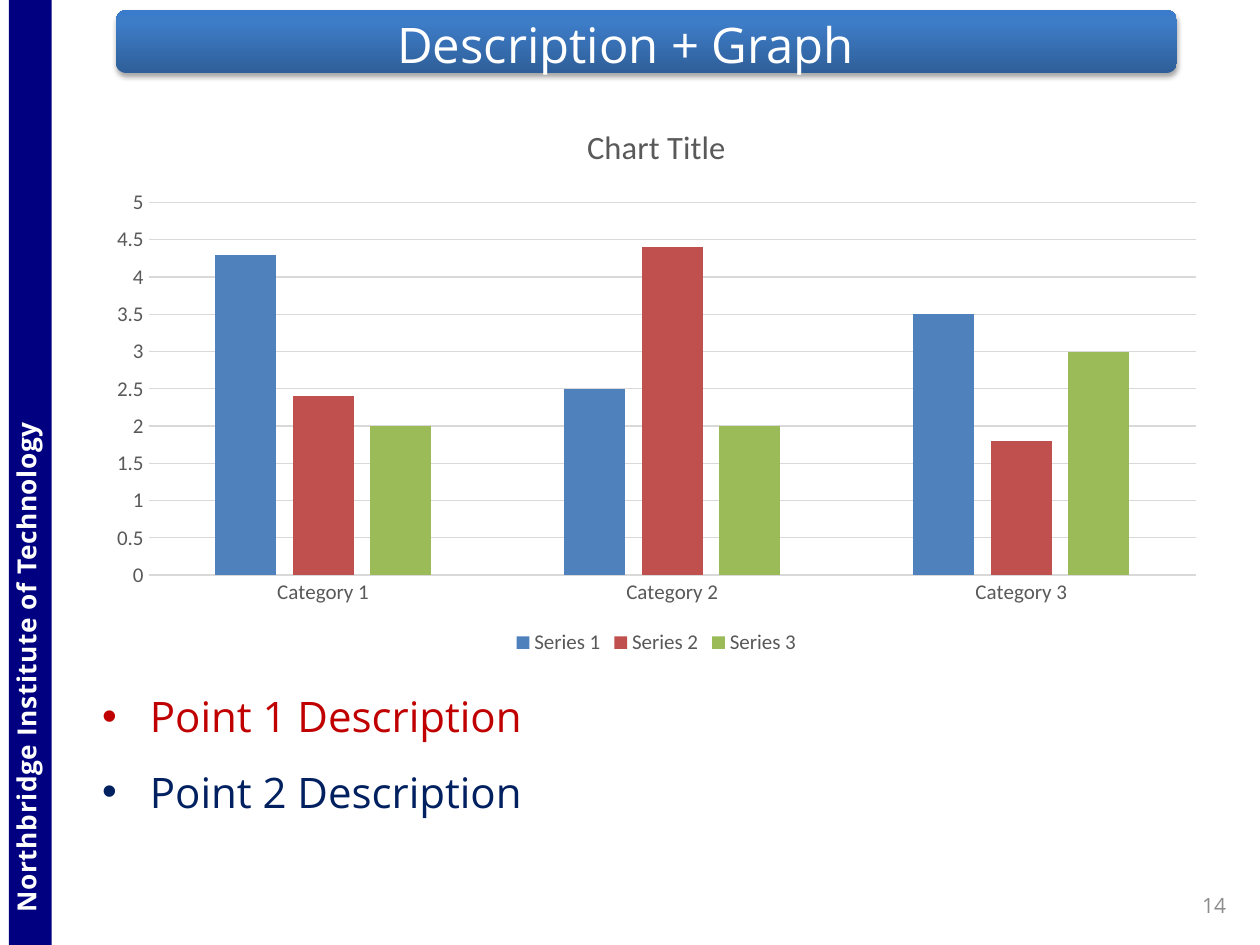
from dataclasses import dataclass

from lxml import etree
from pptx import Presentation
from pptx.chart.data import CategoryChartData
from pptx.dml.color import RGBColor
from pptx.enum.chart import XL_CHART_TYPE, XL_LEGEND_POSITION, XL_TICK_MARK
from pptx.enum.shapes import MSO_SHAPE
from pptx.enum.text import MSO_ANCHOR, MSO_AUTO_SIZE, PP_ALIGN
from pptx.oxml import parse_xml
from pptx.oxml.ns import nsdecls, qn
from pptx.util import Inches, Pt

TITLE = "Description + Graph"
INSTITUTE = "Northbridge Institute of Technology"
PAGE_NUMBER = "14"
POINTS = [("Point 1 Description", "C00000"), ("Point 2 Description", "002060")]
CHART_TITLE = "Chart Title"
CATEGORIES = ["Category 1", "Category 2", "Category 3"]
SERIES = [
    ("Series 1", (4.3, 2.5, 3.5), "4F81BD"),
    ("Series 2", (2.4, 4.4, 1.8), "C0504D"),
    ("Series 3", (2, 2, 3), "9BBB59"),
]


@dataclass(frozen=True)
class Theme:
    font: str = "Open Sans"
    chart_font: str = "Calibri"
    white: str = "FFFFFF"
    navy: str = "000080"
    number: str = "8C8C8C"
    chart_text: str = "595959"
    grid: str = "D9D9D9"
    banner: tuple = ((0, "2F5F99"), (80, "3D7CC7"), (100, "3A7CCB"))
    title_size: float = 28
    point_size: float = 24
    institute_size: float = 15
    number_size: float = 12
    chart_title_size: float = 18.6
    chart_size: float = 12


THEME = Theme()


def box(left, top, width, height):
    return Inches(left), Inches(top), Inches(width), Inches(height)


def place(shape, *bounds):
    shape.left, shape.top, shape.width, shape.height = box(*bounds)


def style(font, size, color, name=THEME.font, bold=False):
    font.size, font.name, font.bold = Pt(size), name, bold
    font.color.rgb = RGBColor.from_string(color)


def write(paragraph, text, size, color, align=PP_ALIGN.LEFT, bold=False):
    run = paragraph.add_run()
    run.text = text
    paragraph.alignment = align
    style(run.font, size, color, bold=bold)
    return run


def rule(line):
    line.color.rgb = RGBColor.from_string(THEME.grid)
    line.width = Pt(0.75)


def add_banner(slide):
    banner = slide.shapes.add_shape(MSO_SHAPE.ROUNDED_RECTANGLE, *box(0.92, 0.08, 8.42, 0.5))
    banner.line.fill.background()
    stops = "".join(
        f'<a:gs pos="{pos * 1000}"><a:srgbClr val="{color}"/></a:gs>' for pos, color in THEME.banner)
    properties = banner.element.spPr
    properties.insert(2, parse_xml(
        f'<a:gradFill {nsdecls("a")} rotWithShape="1"><a:gsLst>{stops}</a:gsLst>'
        '<a:lin ang="16200000" scaled="0"/></a:gradFill>'))
    properties.append(parse_xml(
        f'<a:effectLst {nsdecls("a")}><a:outerShdw blurRad="{Pt(3.1)}" dist="{Pt(1.8)}" '
        'dir="5400000" rotWithShape="0"><a:srgbClr val="000000"><a:alpha val="35000"/>'
        '</a:srgbClr></a:outerShdw></a:effectLst>'))
    slide.shapes.title.element.addprevious(banner.element)


def add_side_band(slide):
    band = slide.shapes.add_shape(MSO_SHAPE.RECTANGLE, *box(-3.51, 3.58, 7.5, 0.34))
    band.rotation = 270
    band.shadow.inherit = False
    band.fill.solid()
    band.fill.fore_color.rgb = RGBColor.from_string(THEME.navy)
    band.line.fill.background()
    frame = band.text_frame
    frame.vertical_anchor = MSO_ANCHOR.TOP
    frame.margin_left, frame.margin_top, frame.margin_right, frame.margin_bottom = box(
        0.26, 0.01, 0.1, 0.07)
    run = write(frame.paragraphs[0], INSTITUTE, THEME.institute_size, THEME.white, bold=True)
    run.font._element.set("spc", "35")
    slide.shapes.title.element.addprevious(band.element)


def fill_title(title):
    place(title, 1.8, 0, 6.33, 0.7)
    title.text_frame.auto_size = MSO_AUTO_SIZE.NONE
    title.text_frame.vertical_anchor = MSO_ANCHOR.MIDDLE
    write(title.text_frame.paragraphs[0], TITLE, THEME.title_size, THEME.white, PP_ALIGN.CENTER)


def fill_points(body):
    place(body, 0.71, 5.23, 9, 1.31)
    frame = body.text_frame
    frame.auto_size = MSO_AUTO_SIZE.NONE
    for index, (text, color) in enumerate(POINTS):
        paragraph = frame.add_paragraph() if index else frame.paragraphs[0]
        write(paragraph, text, THEME.point_size, color)
        paragraph.line_spacing = 1.5
        paragraph.space_before = Pt(0)
        properties = paragraph._p.get_or_add_pPr()
        properties.set("marL", str(Inches(0.38)))
        properties.set("indent", str(Inches(-0.38)))
        etree.SubElement(properties, qn("a:buFont")).set("typeface", "Arial")
        etree.SubElement(properties, qn("a:buChar")).set("char", "•")


def add_page_number(slide):
    frame = slide.shapes.add_textbox(*box(8.08, 7.08, 1.75, 0.21)).text_frame
    frame.word_wrap = True
    frame.vertical_anchor = MSO_ANCHOR.MIDDLE
    write(frame.paragraphs[0], PAGE_NUMBER, THEME.number_size, THEME.number, PP_ALIGN.RIGHT)


def add_column_chart(slide):
    data = CategoryChartData()
    data.categories = CATEGORIES
    for name, values, _ in SERIES:
        data.add_series(name, values)
    chart = slide.shapes.add_chart(
        XL_CHART_TYPE.COLUMN_CLUSTERED, *box(0.75, 0.8, 8.92, 4.44), data).chart
    style(chart.font, THEME.chart_size, THEME.chart_text, THEME.chart_font)

    chart.has_title = True
    chart.chart_title.include_in_layout = False
    heading = chart.chart_title.text_frame
    heading.text = CHART_TITLE
    style(heading.paragraphs[0].runs[0].font, THEME.chart_title_size, THEME.chart_text,
          THEME.chart_font)

    chart.has_legend = True
    chart.legend.position = XL_LEGEND_POSITION.BOTTOM
    chart.legend.include_in_layout = False

    plot = chart.plots[0]
    plot.gap_width, plot.overlap, plot.vary_by_categories = 219, -27, False
    for series, (_, _, color) in zip(plot.series, SERIES):
        series.format.fill.solid()
        series.format.fill.fore_color.rgb = RGBColor.from_string(color)

    for axis in (chart.category_axis, chart.value_axis):
        axis.major_tick_mark = axis.minor_tick_mark = XL_TICK_MARK.NONE
    rule(chart.category_axis.format.line)
    values = chart.value_axis
    values.minimum_scale, values.maximum_scale, values.major_unit = 0, 5, 0.5
    values.format.line.fill.background()
    values.has_major_gridlines = True
    rule(values.major_gridlines.format.line)


presentation = Presentation()
presentation.slide_width, presentation.slide_height = Inches(10), Inches(7.5)
slide = presentation.slides.add_slide(presentation.slide_layouts[1])
add_banner(slide)
add_side_band(slide)
fill_title(slide.shapes.title)
fill_points(slide.placeholders[1])
add_page_number(slide)
add_column_chart(slide)
presentation.save("out.pptx")
